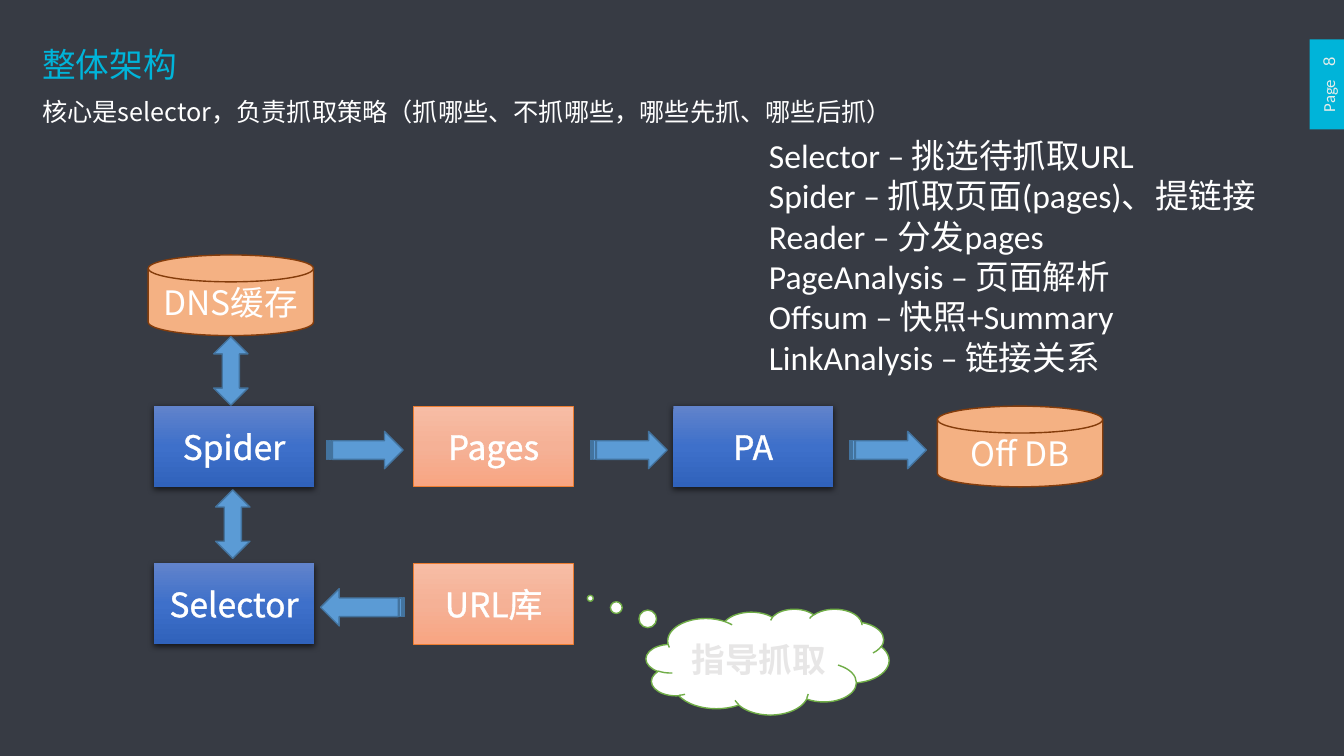
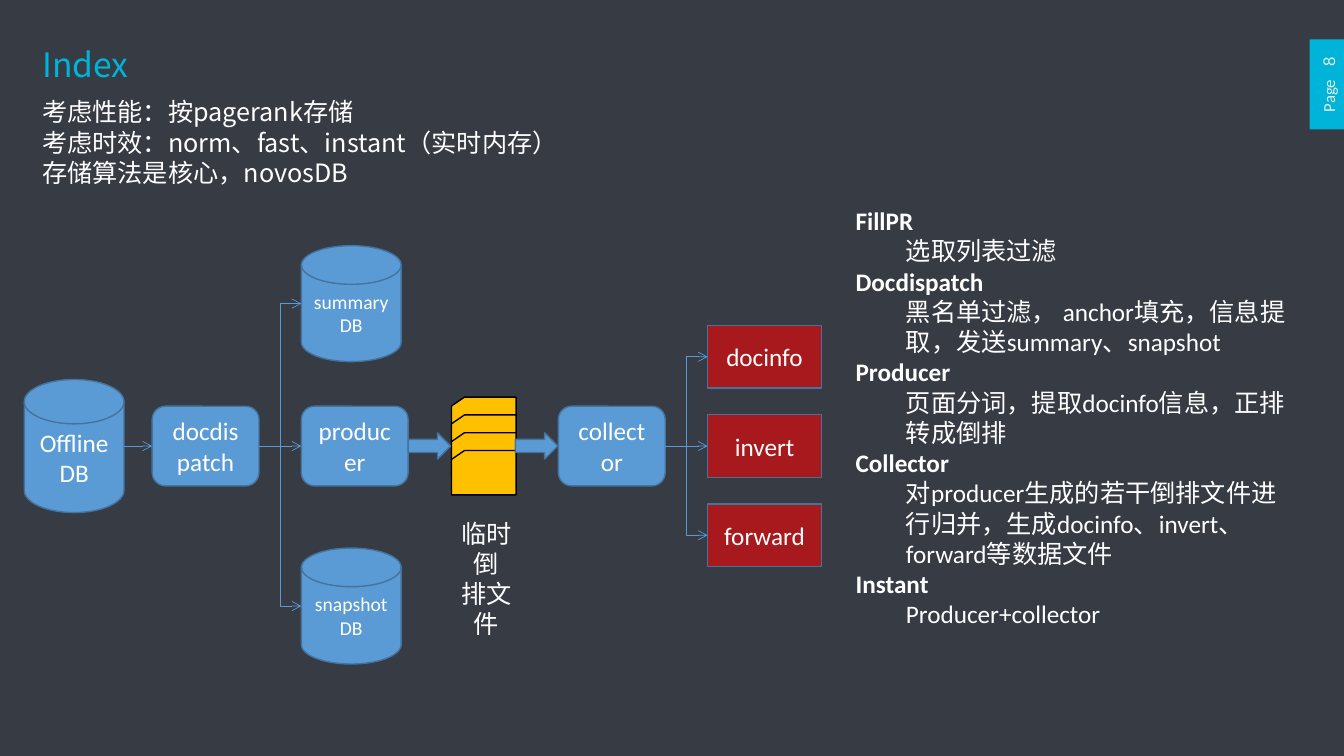
from dataclasses import dataclass, replace

from lxml.etree import Element, SubElement
from pptx import Presentation
from pptx.dml.color import RGBColor
from pptx.enum.shapes import MSO_CONNECTOR, MSO_SHAPE
from pptx.enum.text import MSO_ANCHOR, PP_ALIGN
from pptx.oxml.ns import qn
from pptx.util import Emu, Inches, Pt

COLUMNS, ROWS = 160, 90
CJK = "Noto Sans CJK SC"


@dataclass(frozen=True)
class TextStyle:
    size: float = 18
    font: str = "Calibri"
    color: str = "FFFFFF"
    bold: bool = False
    outline: float = 0
    spacing: float = 0


@dataclass(frozen=True)
class Look:
    fill: object  # a colour, or a tuple of gradient colours from top to bottom
    line: str = ""
    width: float = 1
    alpha: int = 100
    shadow: bool = False


class Theme:
    background = "373B44"
    accent = "00B4D9"
    connector = "5B9BD5"

    title = TextStyle(24, CJK, accent)
    subtitle = TextStyle(18, CJK)
    page_word = TextStyle(12, "Calibri", "E7EDEA")
    page_gap = TextStyle(11, "Arial", "E7EDEA", spacing=6.1)
    page_number = TextStyle(12, "Arial", "E7EDEA")
    roles = TextStyle(24)
    process = TextStyle(24, CJK, outline=1.45)
    store = TextStyle(24, CJK)
    hint = TextStyle(24, CJK, "E7E6E6", bold=True)
    body = TextStyle(18)
    small = TextStyle(14)

    band = Look(accent)
    module = Look(("6183CB", "3E70CA", "3062BB"), shadow=True)
    data = Look(("F7BDA5", "F5B196", "F8A582"), "ED7D31", 0.5)
    storage = Look("F4B183", "843C0B")
    blue = Look("5B9BD5", "43739E")
    cloud = Look("FFFFFF", "70AD47")
    card = Look("FFC000", "000000")
    result = Look("FF0000", "43739E", alpha=57)


class Deck:
    """Holds the presentation and the current page; lengths are grid cells."""

    def __init__(self):
        self.deck = Presentation()
        self.deck.slide_width = Inches(13.333)
        self.deck.slide_height = Inches(7.5)
        fill = self.deck.slide_master.background.fill
        fill.solid()
        fill.fore_color.rgb = RGBColor.from_string(Theme.background)
        self.page = None

    def column(self, count):
        return Emu(round(self.deck.slide_width * count / COLUMNS))

    def row(self, count):
        return Emu(round(self.deck.slide_height * count / ROWS))

    def area(self, left, top, width, height):
        return (self.column(left), self.row(top),
                self.column(width), self.row(height))

    def new_page(self, title, subtitle, number):
        self.page = self.deck.slides.add_slide(self.deck.slide_layouts[5])
        self.shape(MSO_SHAPE.RECTANGLE, (155.9, 4.7, 4.1, 10.7), Theme.band)
        label = self.text((153.7, 8.3, 8.9, 3.6), [], Theme.page_word)
        label.rotation = 270
        para = label.text_frame.paragraphs[0]
        para.alignment = PP_ALIGN.CENTER
        self.span(para, "Page", Theme.page_word)
        self.span(para, " ", Theme.page_gap)
        self.span(para, number, Theme.page_number)

        box = self.page.shapes.title
        box.left, box.top, box.width, box.height = self.area(3.84, 4.68, 148, 6)
        box.text_frame.vertical_anchor = MSO_ANCHOR.TOP
        self.add_lines(box.text_frame, [title], Theme.title)
        self.text((3.84, 10.92, 148, 4.8 * len(subtitle)), subtitle, Theme.subtitle)

    def span(self, para, text, style):
        run = para.add_run()
        run.text = text
        run.font.size = Pt(style.size)
        run.font.bold = style.bold
        run.font.color.rgb = RGBColor.from_string(style.color)
        run.font.name = style.font
        properties = run.element.get_or_add_rPr() if hasattr(run, "element") else run._r.get_or_add_rPr()
        SubElement(properties, qn("a:ea"), typeface=CJK)
        if style.spacing:
            properties.set("spc", str(round(style.spacing * 100)))
        if style.outline:
            outline = Element(qn("a:ln"), w=str(Pt(style.outline)))
            paint = SubElement(outline, qn("a:solidFill"))
            SubElement(paint, qn("a:srgbClr"), val=style.color)
            properties.insert(0, outline)

    def add_lines(self, frame, lines, style, align=PP_ALIGN.LEFT):
        frame.word_wrap = True
        for index, line in enumerate(lines):
            para = frame.add_paragraph() if index else frame.paragraphs[0]
            para.alignment = align
            self.span(para, line, style)

    def text(self, area, lines, style, align=PP_ALIGN.LEFT):
        box = self.page.shapes.add_textbox(*self.area(*area))
        self.add_lines(box.text_frame, lines, style, align)
        return box

    def definitions(self, area, entries, style):
        """Sets bold terms, each followed by its indented explanation."""
        lines = [line for entry in entries for line in entry]
        frame = self.text(area, [], style).text_frame
        for index, line in enumerate(lines):
            para = frame.add_paragraph() if index else frame.paragraphs[0]
            is_term = index % 2 == 0
            if not is_term:
                para.level = 1
                properties = para._p.get_or_add_pPr()
                properties.set("marL", str(Inches(0.5)))
                properties.set("indent", "0")
            self.span(para, line, replace(style, bold=is_term))

    def shape(self, kind, area, look, lines=(), style=Theme.body):
        shape = self.page.shapes.add_shape(kind, *self.area(*area))
        self.paint(shape, look)
        if lines:
            shape.text_frame.vertical_anchor = MSO_ANCHOR.MIDDLE
            self.add_lines(shape.text_frame, lines, style, PP_ALIGN.CENTER)
        return shape

    def paint(self, shape, look):
        properties = shape.element.spPr
        if isinstance(look.fill, tuple):
            shape.fill.gradient()
            shape.fill.gradient_angle = 270
            stops = properties.find(".//" + qn("a:gsLst"))
            for stop in list(stops):
                stops.remove(stop)
            for index, color in enumerate(look.fill):
                position = 100000 * index // (len(look.fill) - 1)
                stop = SubElement(stops, qn("a:gs"), pos=str(position))
                SubElement(stop, qn("a:srgbClr"), val=color)
        else:
            shape.fill.solid()
            shape.fill.fore_color.rgb = RGBColor.from_string(look.fill)
        if look.alpha < 100:
            color = properties.find(qn("a:solidFill")).find(qn("a:srgbClr"))
            SubElement(color, qn("a:alpha"), val=str(look.alpha * 1000))
        if look.line:
            shape.line.color.rgb = RGBColor.from_string(look.line)
            shape.line.width = Pt(look.width)
        else:
            shape.line.fill.background()
        shape.shadow.inherit = False
        if look.shadow:
            shadow = SubElement(
                properties.find(qn("a:effectLst")), qn("a:outerShdw"),
                blurRad=str(Pt(4.5)), dist=str(Pt(1.5)), dir="5400000", rotWithShape="0")
            color = SubElement(shadow, qn("a:srgbClr"), val="000000")
            SubElement(color, qn("a:alpha"), val="63000")

    def fan(self, left, right, start, ends):
        """Draws arrows from one point to several rows on its right."""
        for end in ends:
            kind = MSO_CONNECTOR.STRAIGHT if end == start else MSO_CONNECTOR.ELBOW
            link = self.page.shapes.add_connector(
                kind, self.column(left), self.row(start),
                self.column(right), self.row(end))
            link.line.color.rgb = RGBColor.from_string(Theme.connector)
            link.line.width = Pt(0.5)
            properties = link.element.spPr
            SubElement(properties.find(qn("a:ln")), qn("a:tailEnd"), type="arrow")
            SubElement(properties, qn("a:effectLst"))

    def save(self):
        self.deck.save("out.pptx")


def architecture(deck):
    deck.new_page("整体架构", ["核心是selector，负责抓取策略（抓哪些、不抓哪些，哪些先抓、哪些后抓）"], "8")
    left, pitch, width, height = 18.36, 30.9, 19, 9.6
    upper, lower = 48.36, 67.08
    for name, step, top, look in (
        ("Spider", 0, upper, Theme.module),
        ("Pages", 1, upper, Theme.data),
        ("PA", 2, upper, Theme.module),
        ("Selector", 0, lower, Theme.module),
        ("URL库", 1, lower, Theme.data),
    ):
        deck.shape(MSO_SHAPE.FLOWCHART_PROCESS, (left + step * pitch, top, width, height),
                   look, [name], Theme.process)
    for name, store_left, top in (("Off DB", 111.6, upper), ("DNS缓存", 17.64, 30.36)):
        deck.shape(MSO_SHAPE.FLOWCHART_MAGNETIC_DISK, (store_left, top, 19.68, height),
                   Theme.storage, [name], Theme.store)
    for arrow_left, top, length, turn in (
        (38.88, upper, 9.12, 0),
        (70.32, upper, 9.12, 0),
        (101.16, upper, 9.12, 0),
        (38.16, lower, 9.96, 180),
    ):
        arrow = deck.shape(MSO_SHAPE.STRIPED_RIGHT_ARROW,
                           (arrow_left, top + 3, length, 4.44), Theme.blue)
        arrow.rotation = turn
    for arrow_left, top in ((25.44, 40.08), (25.68, 58.32)):
        deck.shape(MSO_SHAPE.UP_DOWN_ARROW, (arrow_left, top, 4.08, 8.16), Theme.blue)
    cloud = deck.shape(MSO_SHAPE.CLOUD_CALLOUT, (76.92, 72.48, 28.92, 12.6),
                       Theme.cloud, ["指导抓取"], Theme.hint)
    cloud.adjustments[0], cloud.adjustments[1] = -0.73, -0.6
    deck.text((90.36, 15.48, 65.52, 30.24), [
        "Selector – 挑选待抓取URL",
        "Spider – 抓取页面(pages)、提链接",
        "Reader – 分发pages",
        "PageAnalysis – 页面解析",
        "Offsum – 快照+Summary",
        "LinkAnalysis – 链接关系",
    ], Theme.roles)


def index_build(deck):
    deck.new_page("Index", [
        "考虑性能：按pagerank存储",
        "考虑时效：norm、fast、instant（实时内存）",
        "存储算法是核心，novosDB",
    ], "8")
    axis, branch, gap = 53.1, 35.88, 5.04
    step_width, step_height = 12.72, 9.48
    for name, left in (("docdispatch", 18.12), ("producer", branch), ("collector", 66.48)):
        deck.shape(MSO_SHAPE.ROUNDED_RECTANGLE,
                   (left, axis - step_height / 2, step_width, step_height),
                   Theme.blue, [name])
    summary, snapshot = axis - 16.95, axis + 19.05
    for name, left, middle, height, style in (
        ("Offline", 2.88, axis, 15.84, Theme.body),
        ("summary", branch, summary, 13.8, Theme.small),
        ("snapshot", branch, snapshot, 13.8, Theme.small),
    ):
        deck.shape(MSO_SHAPE.FLOWCHART_MAGNETIC_DISK,
                   (left, middle - height / 2, 11.88, height),
                   Theme.blue, [name, "DB"], style)
    results_left, result_height, result_pitch = 84.24, 7.44, 10.62
    results = [axis + step * result_pitch for step in (-1, 0, 1)]
    for name, middle in zip(("docinfo", "invert", "forward"), results):
        deck.shape(MSO_SHAPE.FLOWCHART_PROCESS,
                   (results_left, middle - result_height / 2, 13.56, result_height),
                   Theme.result, [name])
    deck.fan(14.76, 18.12, axis, [axis])
    deck.fan(branch - gap, branch, axis, [summary, axis, snapshot])
    deck.fan(results_left - gap, results_left, axis, results)
    for step in range(4):
        deck.shape(MSO_SHAPE.FLOWCHART_CARD, (53.76, 47.28 + step * 2.12, 7.68, 5.28), Theme.card)
    for left in (48.6, 61.36):
        deck.shape(MSO_SHAPE.RIGHT_ARROW, (left, axis - 1.56, gap, 3.12), Theme.blue)
    deck.text((52.68, 61.08, 10.44, 9.6), ["临时倒", "排文件"], Theme.body, PP_ALIGN.CENTER)
    deck.definitions((100.68, 23.88, 55.2, 52.08), [
        ("FillPR", "选取列表过滤"),
        ("Docdispatch", "黑名单过滤， anchor填充，信息提取，发送summary、snapshot"),
        ("Producer", "页面分词，提取docinfo信息，正排转成倒排"),
        ("Collector", "对producer生成的若干倒排文件进行归并，生成docinfo、invert、forward等数据文件"),
        ("Instant", "Producer+collector"),
    ], Theme.body)


def main():
    deck = Deck()
    architecture(deck)
    index_build(deck)
    deck.save()


if __name__ == "__main__":
    main()
